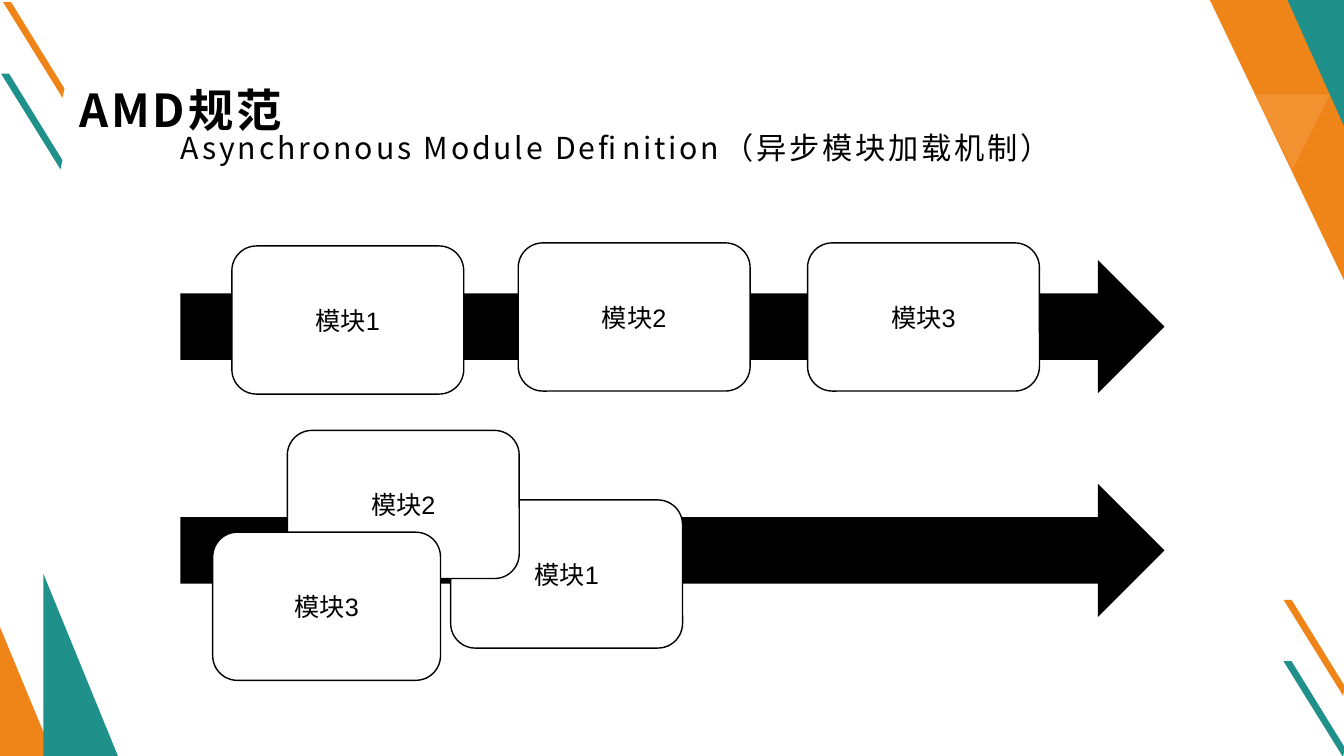
from pptx import Presentation
from pptx.dml.color import RGBColor
from pptx.enum.shapes import MSO_SHAPE
from pptx.enum.text import MSO_ANCHOR, PP_ALIGN
from pptx.oxml.ns import qn
from pptx.util import Pt
from lxml.etree import SubElement

PX = 9144  # EMU: 100 px to the inch
BLACK = RGBColor(0x00, 0x00, 0x00)
WHITE = RGBColor(0xFF, 0xFF, 0xFF)
ORANGE = RGBColor(0xEF, 0x85, 0x19)
PALE = RGBColor(0xF3, 0x92, 0x31)
TEAL = RGBColor(0x20, 0x90, 0x8A)
SANS = "Noto Sans CJK SC"
LATIN = "Arial"


class Deck:
    def __init__(self, width, height):
        self.prs = Presentation()
        self.prs.slide_width = width * PX
        self.prs.slide_height = height * PX
        self.slide = self.prs.slides.add_slide(self.prs.slide_layouts[6])
        self.shapes = self.slide.shapes

    def paint(self, shape, fill, line=None):
        shape.shadow.inherit = False
        shape.fill.solid()
        shape.fill.fore_color.rgb = fill
        if line is None:
            shape.line.fill.background()
        else:
            shape.line.color.rgb = line
            shape.line.width = Pt(1)
        return shape

    def preset(self, kind, box, fill, line=None):
        shape = self.shapes.add_shape(kind, *(v * PX for v in box))
        return self.paint(shape, fill, line)

    def outline(self, points, fill):
        pen = self.shapes.build_freeform(*points[0], scale=PX)
        pen.add_line_segments(points[1:], close=True)
        return self.paint(pen.convert_to_shape(), fill)

    def stripe(self, x, y, fill):
        edge = [(0, 0), (8, 0), (61, 86), (59, 95)]
        self.outline([(x + dx, y + dy) for dx, dy in edge], fill)

    def wedge(self, box, fill):
        self.preset(MSO_SHAPE.ISOSCELES_TRIANGLE, box, fill).adjustments[0] = 0

    def run(self, para, text, size, font, bold=False, gap=0):
        run = para.add_run()
        run.text = text
        run.font.size = Pt(size)
        run.font.name = font
        run.font.bold = bold
        run.font.color.rgb = BLACK
        props = run.font._element
        SubElement(props, qn("a:ea")).set("typeface", SANS)
        if gap:
            props.set("spc", str(gap * 100))

    def title(self, box, head, sub):
        frame = self.shapes.add_textbox(*(v * PX for v in box)).text_frame
        frame.word_wrap = True
        frame.vertical_anchor = MSO_ANCHOR.MIDDLE
        frame.margin_left, frame.margin_right = 11 * PX, 8 * PX
        frame.margin_top = frame.margin_bottom = 4 * PX
        self.run(frame.paragraphs[0], head, 32.4, SANS, bold=True, gap=2)
        para = frame.add_paragraph()
        para.line_spacing = 0.8
        para._p.get_or_add_pPr().set("marL", str(100 * PX))
        self.run(para, sub, 21.6, SANS, gap=2)

    def arrow(self, y):
        self.preset(MSO_SHAPE.RIGHT_ARROW, (179, y, 976, 132), BLACK)

    def module(self, num, x, y, width=230):
        card = self.preset(MSO_SHAPE.ROUNDED_RECTANGLE,
                           (x, y, width, 147), WHITE, BLACK)
        frame = card.text_frame
        frame.vertical_anchor = MSO_ANCHOR.MIDDLE
        para = frame.paragraphs[0]
        para.alignment = PP_ALIGN.CENTER
        self.run(para, f"模块{num}", 18, LATIN)


def main():
    deck = Deck(1333, 750)

    # Corner stripes
    for x, y, fill in [(1273, 595, ORANGE), (1, 73, TEAL),
                       (3, 2, ORANGE), (1273, 656, TEAL)]:
        deck.stripe(x, y, fill)

    # Top right and bottom left wedges
    deck.outline([(1200, 0), (1333, 0), (1333, 278)], ORANGE)
    deck.outline([(1277, 0), (1333, 0), (1333, 125)], TEAL)
    deck.outline([(1319, 94), (1282, 168), (1245, 94)], PALE)
    deck.wedge((0, 622, 53, 128), ORANGE)
    deck.wedge((43, 569, 74, 181), TEAL)

    # Title
    deck.title((68, 76, 1197, 94), "AMD规范",
               "Asynchronous Module Definition（异步模块加载机制）")

    # Modules loaded in order
    deck.arrow(258)
    for num, x, y in [(1, 230, 244), (2, 514, 241), (3, 801, 241)]:
        deck.module(num, x, y)

    # Modules loaded at the same time
    deck.arrow(480)
    deck.module(1, 447, 496)
    deck.module(2, 285, 427)
    deck.module(3, 211, 528, width=226)

    deck.prs.save("out.pptx")


if __name__ == "__main__":
    main()
